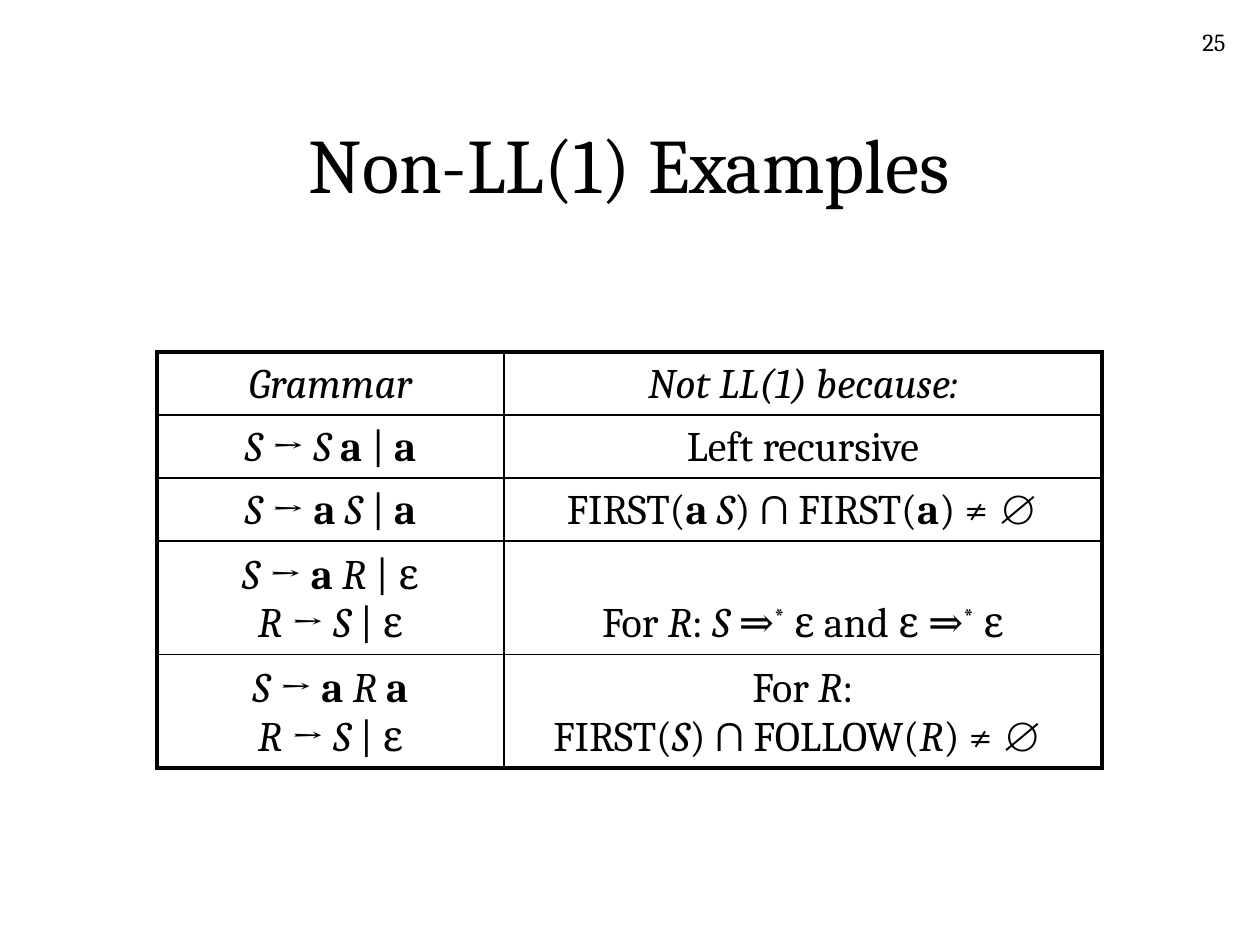
from lxml import etree
from pptx import Presentation
from pptx.dml.color import RGBColor
from pptx.enum import text
from pptx.oxml import ns
from pptx.util import Pt

PX = 914400 // 126
FONT, BLACK, WHITE = "Cambria", "000000", "FFFFFF"
THICK, THIN = 2.25, 1
MID = text.MSO_ANCHOR.MIDDLE
TOP = text.MSO_ANCHOR.TOP
LOW = text.MSO_ANCHOR.BOTTOM
CENTER, RIGHT = text.PP_ALIGN.CENTER, text.PP_ALIGN.RIGHT

LABELS = [
    ("25", (976, 21, 262, 63), 14, RIGHT, TOP),
    ("Non-LL(1) Examples", (94, 84, 1071, 158), 44, CENTER, MID),
]
PLACE = (157, 352)
COLS = [347, 598]
ROWS = [63, 63, 63, 113, 113]

START = [("S ", "i"), ("→ ", "")]
REST = [("R ", "i"), ("→ ", ""), ("S", "i"), (" | ε", "")]
CELLS = [
    [[("Grammar", "i")], [("Not LL(1) because:", "i")]],
    [START + [("S ", "i"), ("a", "b"), (" | ", ""), ("a", "b")],
     [("Left recursive", "")]],
    [START + [("a ", "b"), ("S", "i"), (" | ", ""), ("a", "b")],
     [("FIRST(", ""), ("a ", "b"), ("S", "i"), (") ∩ FIRST(", ""),
      ("a", "b"), (") ≠ ∅", "")]],
    [START + [("a ", "b"), ("R", "i"), (" | ε\n", "")] + REST,
     [("For ", ""), ("R", "i"), (":", ""), (" S ", "i"), ("⇒", ""),
      ("*", "s"), (" ε and ε ⇒", ""), ("*", "s"), (" ε", "")]],
    [START + [("a ", "b"), ("R ", "i"), ("a\n", "b")] + REST,
     [("For ", ""), ("R", "i"), (":\nFIRST(", ""), ("S", "i"),
      (") ∩ FOLLOW(", ""), ("R", "i"), (") ≠ ∅ ", "")]],
]


def color(code):
    return RGBColor.from_string(code)


def write(para, runs, size, align):
    para.alignment = align
    for words, style in runs:
        for n, part in enumerate(words.split("\n")):
            if n:
                para.add_line_break()
            if not part:
                continue
            run = para.add_run()
            run.text = part
            font = run.font
            font.name, font.size = FONT, Pt(size)
            font.color.rgb = color(BLACK)
            font.bold, font.italic = style == "b", style == "i"
            if style == "s":
                run._r.get_or_add_rPr().set("baseline", "30000")


def label(slide, words, box, size, align, anchor):
    frame = slide.shapes.add_textbox(*[n * PX for n in box]).text_frame
    frame.word_wrap = True
    frame.vertical_anchor = anchor
    write(frame.paragraphs[0], [(words, "")], size, align)


def border(cell, edges):
    props = cell._tc.get_or_add_tcPr()
    for n, (side, outer) in enumerate(edges):
        width = Pt(THICK if outer else THIN)
        line = etree.Element(ns.qn("a:ln" + side), w=str(width))
        fill = etree.SubElement(line, ns.qn("a:solidFill"))
        etree.SubElement(fill, ns.qn("a:srgbClr"), val=BLACK)
        props.insert(n, line)


def grid(slide):
    box = [n * PX for n in (*PLACE, sum(COLS), sum(ROWS))]
    table = slide.shapes.add_table(len(ROWS), len(COLS), *box).table
    table.first_row = table.horz_banding = False
    for col, width in zip(table.columns, COLS):
        col.width = width * PX
    for row, height in zip(table.rows, ROWS):
        row.height = height * PX
    for r, line in enumerate(CELLS):
        for c, runs in enumerate(line):
            cell = table.cell(r, c)
            cell.vertical_anchor = LOW
            cell.fill.background()
            write(cell.text_frame.paragraphs[0], runs, 24, CENTER)
            border(cell, [("L", c == 0), ("R", c == len(COLS) - 1),
                          ("T", r == 0), ("B", r == len(ROWS) - 1)])


def main():
    deck = Presentation()
    deck.slide_width, deck.slide_height = 1260 * PX, 945 * PX
    slide = deck.slides.add_slide(deck.slide_layouts[6])
    back = slide.background.fill
    back.solid()
    back.fore_color.rgb = color(WHITE)
    for item in LABELS:
        label(slide, *item)
    grid(slide)
    deck.save("out.pptx")


if __name__ == "__main__":
    main()
